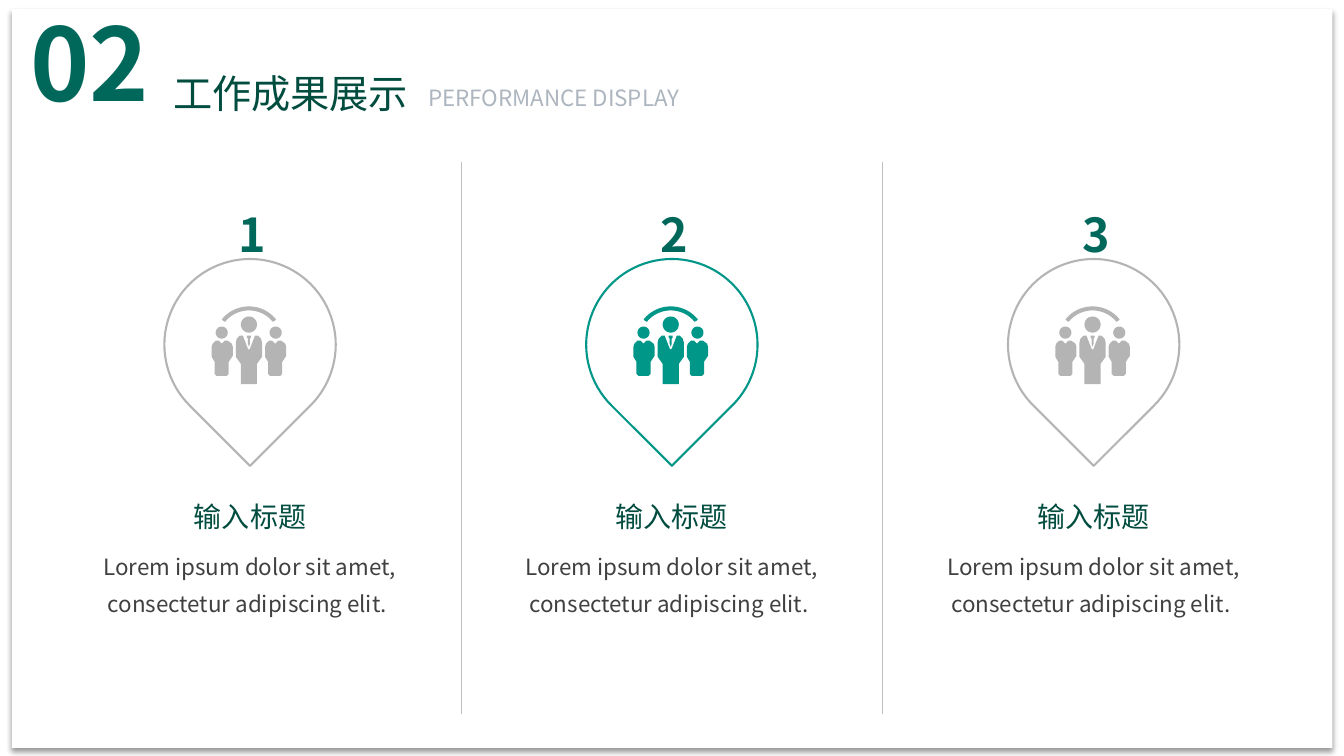
from math import cos, sin, radians

from lxml.etree import SubElement
from pptx import Presentation
from pptx.dml.color import RGBColor
from pptx.enum.shapes import MSO_CONNECTOR, MSO_SHAPE
from pptx.enum.text import MSO_ANCHOR, PP_ALIGN
from pptx.oxml.ns import qn
from pptx.util import Pt

FONT = "Noto Sans CJK SC"
HUES = {
    "white": "FFFFFF", "black": "000000", "deep": "00685B", "dark": "004C3F",
    "teal": "009688", "gray": "B4B4B4", "rule": "BFBFBF", "body": "404040",
    "pale": "ADB5BF",
}
STEP = 301.3
SIDE = [(6, 34), (7, 34), (10, 37), (13, 34), (16, 34), (20, 37), (21, 40),
        (21, 49), (17, 55), (17, 67), (15, 69), (5, 69), (3, 67), (3, 55),
        (0, 50), (0, 40), (1, 37), (4, 34)]
CHEST = [(28, 29), (31, 29), (36, 42), (37, 43), (38, 42), (43, 29), (46, 29),
         (49, 32), (50, 36), (50, 50), (45, 57), (45, 77), (29, 77), (29, 57),
         (24, 50), (24, 36), (25, 32)]
TIE = [(35, 29), (39, 29), (39, 31), (38, 32), (38, 37), (37, 40), (36, 37),
       (36, 32), (35, 31)]


def hue(name):
    return RGBColor.from_string(HUES[name])


def paint(shape, fill=None, line=None, width=1.5):
    shape.shadow.inherit = False
    if fill:
        shape.fill.solid()
        shape.fill.fore_color.rgb = hue(fill)
    else:
        shape.fill.background()
    if line:
        shape.line.color.rgb = hue(line)
        shape.line.width = Pt(width)
    else:
        shape.line.fill.background()


def add_text(slide, box, words, size, tint, align=PP_ALIGN.LEFT, bold=False,
             wrap=True, space=None):
    frame = slide.shapes.add_textbox(*map(Pt, box)).text_frame
    frame.word_wrap = wrap
    frame.margin_top = frame.margin_bottom = 0
    frame.vertical_anchor = MSO_ANCHOR.MIDDLE
    para = frame.paragraphs[0]
    para.alignment = align
    if space:
        para.line_spacing = Pt(space)
    run = para.add_run()
    run.text = words
    font = run.font
    font.name, font.size, font.bold = FONT, Pt(size), bold
    font.color.rgb = hue(tint)
    SubElement(run._r.get_or_add_rPr(), qn("a:ea")).set("typeface", FONT)


def add_panel(slide):
    panel = slide.shapes.add_shape(
        MSO_SHAPE.RECTANGLE, Pt(8.6), Pt(6.5), Pt(943.2), Pt(527.8))
    paint(panel, "white")
    effects = panel._element.spPr.find(qn("a:effectLst"))
    shade = SubElement(effects, qn("a:outerShdw"), blurRad=str(Pt(4)),
                       dist=str(Pt(3)), dir="5400000", algn="t", rotWithShape="0")
    tone = SubElement(shade, qn("a:srgbClr"), val=HUES["black"])
    SubElement(tone, qn("a:alpha"), val="40000")


def add_rule(slide, x):
    rule = slide.shapes.add_connector(
        MSO_CONNECTOR.STRAIGHT, Pt(x), Pt(116), Pt(x), Pt(510))
    rule.line.color.rgb = hue("rule")
    rule.line.width = Pt(0.25)
    SubElement(rule._element.spPr, qn("a:effectLst"))


def arc(x, y, size, start, end, step):
    return [(x + size * cos(radians(a)), y + size * sin(radians(a)))
            for a in range(start, end, step)]


def add_team(slide, left, top, tint):
    bow = arc(37, 34.5, 34.5, -141, -37, 3) + [(63, 14)]
    bow += arc(37, 34.5, 30.5, -39, -142, -3) + [(11, 14)]
    heads = [arc(x, y, size, 0, 360, 10)
             for x, y, size in ((10, 26, 6), (63.5, 26, 6), (37, 18, 8))]
    twin = [(x + 53, y) for x, y in SIDE]
    parts = [[(72 * x, 72 * y) for x, y in part]
             for part in (SIDE, twin, CHEST, TIE, bow, *heads)]
    pen = slide.shapes.build_freeform(*parts[0][0], scale=Pt(0.01))
    pen.add_line_segments(parts[0][1:])
    for part in parts[1:]:
        pen.move_to(*part[0])
        pen.add_line_segments(part[1:])
    paint(pen.convert_to_shape(Pt(left), Pt(top)), tint)


def add_column(slide, index, tint, fill):
    shift = index * STEP
    mid = 178.6 + shift
    pin = slide.shapes.add_shape(
        MSO_SHAPE.TEAR, Pt(mid - 61.2), Pt(185), Pt(122.4), Pt(122.4))
    pin.rotation = 135
    paint(pin, fill, tint)
    add_text(slide, (mid - 15, 145.4, 30, 44), str(index + 1), 33.3, "deep",
             PP_ALIGN.CENTER, True, False)
    add_team(slide, 151.2 + shift, 218.9, tint)
    add_text(slide, (mid - 80.6, 354.2, 161.2, 29), "输入标题", 20, "dark",
             PP_ALIGN.CENTER)
    add_text(slide, (mid - 135.7, 388.6, 271.4, 52),
             "Lorem ipsum dolor sit amet, consectetur adipiscing elit. ",
             16, "body", PP_ALIGN.CENTER, space=26)


def main():
    deck = Presentation()
    deck.slide_width, deck.slide_height = Pt(960), Pt(540)
    slide = deck.slides.add_slide(deck.slide_layouts[6])
    add_panel(slide)
    for index, (tint, fill) in enumerate(
            [("gray", None), ("teal", "white"), ("gray", None)]):
        add_column(slide, index, tint, fill)
    for index in range(2):
        add_rule(slide, 329.2 + index * STEP)
    add_text(slide, (14.4, 0, 116, 87.2), "02", 72, "deep", bold=True)
    add_text(slide, (116.6, 46, 184.4, 41), "工作成果展示", 28, "dark")
    add_text(slide, (298.8, 56.2, 242, 26.6), "PERFORMANCE DISPLAY", 16, "pale")
    deck.save("out.pptx")


if __name__ == "__main__":
    main()
